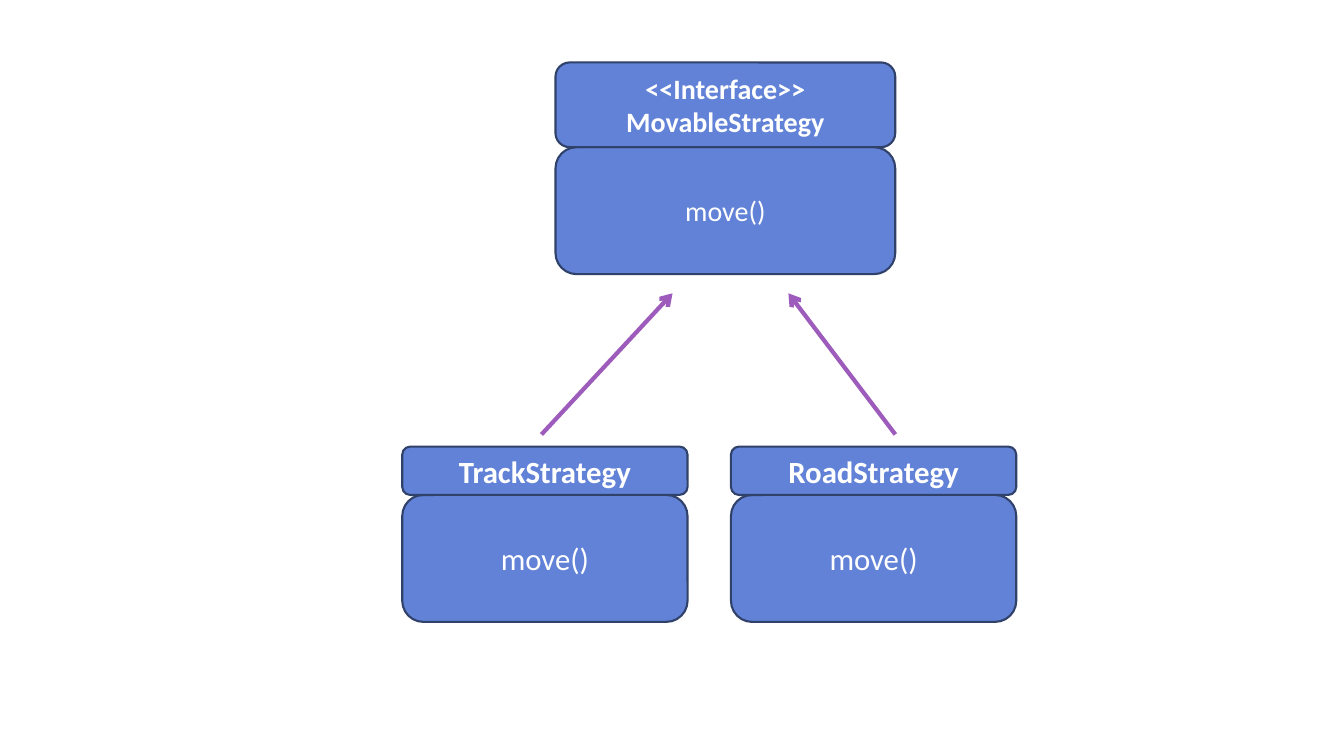
import pptx
import pptx.dml.color
import pptx.enum.shapes
import pptx.enum.text
import pptx.oxml
import pptx.oxml.ns
import pptx.util

deck = pptx.Presentation()
deck.slide_width = pptx.util.Inches(13.33)
deck.slide_height = pptx.util.Inches(7.5)
page = deck.slides.add_slide(deck.slide_layouts[6])


def colour(code):
    return pptx.dml.color.RGBColor.from_string(code)


def place(across, down):
    return int(deck.slide_width * across / 100), int(deck.slide_height * down / 100)


BODY_HEIGHT = 16.8
classes = [
    (["<<Interface>>", "MovableStrategy"], 41.33, 8.27, 25.28, 11.2, 20),
    (["TrackStrategy"], 29.93, 59.07, 21.23, 6.4, 22),
    (["RoadStrategy"], 54.39, 59.07, 21.23, 6.4, 22),
]

for title, left, top, width, title_height, size in classes:
    group = page.shapes.add_group_shape()
    parts = [
        (["move()"], top + title_height, BODY_HEIGHT, False),
        (title, top, title_height, True),
    ]
    for lines, part_top, height, bold in parts:
        box = group.shapes.add_shape(
            pptx.enum.shapes.MSO_SHAPE.ROUNDED_RECTANGLE,
            *place(left, part_top), *place(width, height))
        box.shadow.inherit = False
        box.fill.solid()
        box.fill.fore_color.rgb = colour("6182D6")
        box.line.color.rgb = colour("30416A")
        box.line.width = pptx.util.Pt(1.5)
        frame = box.text_frame
        frame.word_wrap = True
        frame.vertical_anchor = pptx.enum.text.MSO_ANCHOR.MIDDLE
        text_format = {"name": "Calibri", "size": pptx.util.Pt(size), "bold": bold}
        for number, line in enumerate(lines):
            para = frame.add_paragraph() if number else frame.paragraphs[0]
            para.alignment = pptx.enum.text.PP_ALIGN.CENTER
            span = para.add_run()
            span.text = line
            for name, value in text_format.items():
                setattr(span.font, name, value)
            span.font.color.rgb = colour("FFFFFF")

for start, end in [(40.29, 50.04), (66.62, 58.66)]:
    arrow = page.shapes.add_connector(
        pptx.enum.shapes.MSO_CONNECTOR.STRAIGHT,
        *place(start, 57.47), *place(end, 38.8))
    arrow.line.color.rgb = colour("9D5CBB")
    arrow.line.width = pptx.util.Pt(3)
    tip = pptx.oxml.parse_xml(
        f'<a:tailEnd {pptx.oxml.ns.nsdecls("a")} type="arrow"/>')
    arrow.line._get_or_add_ln().append(tip)
    arrow._element.spPr.append(
        pptx.oxml.parse_xml(f'<a:effectLst {pptx.oxml.ns.nsdecls("a")}/>'))

deck.save("out.pptx")
